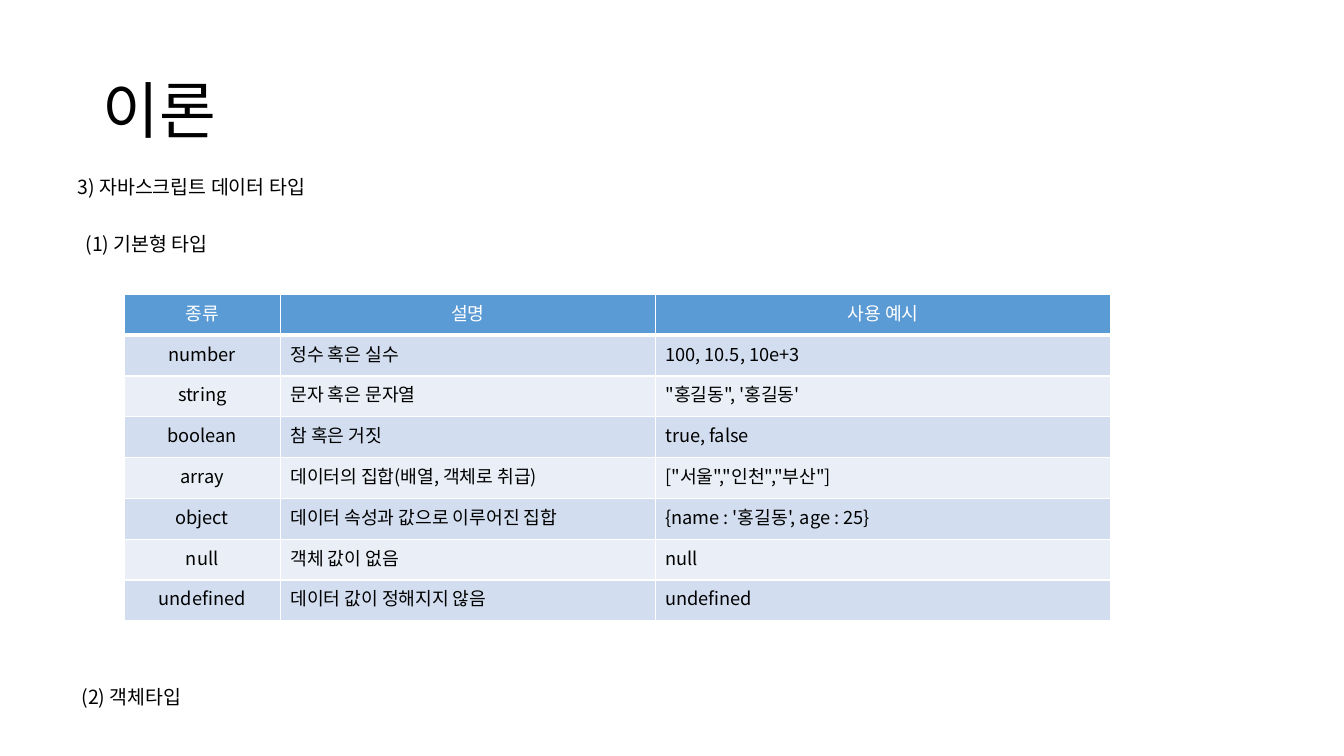
from pptx import Presentation
from pptx.util import Inches, Pt
from pptx.dml.color import RGBColor as Rgb
from pptx.enum.text import PP_ALIGN as Al, MSO_ANCHOR as Anc
from pptx.oxml import parse_xml
from pptx.oxml.ns import nsdecls
from lxml import etree

FONT = "Noto Sans CJK KR"
TITLE = "이론"
# text, indent in inches, space before in points
LINES = [
    ("3) 자바스크립트 데이터 타입", 0, 0),
    ("(1) 기본형 타입", 0.08, 29.4),
    ("(2) 객체타입", 0.04, 311.6),
]
ROWS = [
    ("종류", "설명", "사용 예시"),
    ("number", "정수 혹은 실수", "100, 10.5, 10e+3"),
    ("string", "문자 혹은 문자열", "\"홍길동\", '홍길동'"),
    ("boolean", "참 혹은 거짓", "true, false"),
    ("array", "데이터의 집합(배열, 객체로 취급)", '["서울","인천","부산"]'),
    ("object", "데이터 속성과 값으로 이루어진 집합", "{name : '홍길동', age : 25}"),
    ("null", "객체 값이 없음", "null"),
    ("undefined", "데이터 값이 정해지지 않음", "undefined"),
]
COLS = [1.55, 3.72, 4.52]
ROW_H = 0.405
HEAD, BANDS = "5B9BD5", ("EAEFF7", "D2DEEF")
BLACK, WHITE = "000000", "FFFFFF"


def paint(obj, color):
    obj.rgb = Rgb.from_string(color)


def write(para, text, size, color=BLACK, **form):
    run = para.add_run()
    run.text = text
    for key, val in {"name": FONT, "size": Pt(size), "bold": False}.items():
        setattr(run.font, key, val)
    paint(run.font.color, color)
    run.font._element.append(
        parse_xml(f'<a:ea {nsdecls("a")} typeface="{FONT}"/>'))
    for key, val in form.items():
        setattr(para, key, val)


def edge(cell, side, width):
    line = parse_xml(
        f'<a:ln{side} {nsdecls("a")} w="{Pt(width)}"><a:solidFill>'
        f'<a:srgbClr val="{WHITE}"/></a:solidFill></a:ln{side}>')
    cell._tc.get_or_add_tcPr().append(line)


def place(shape, *box):
    for key, val in zip(("left", "top", "width", "height"), box):
        setattr(shape, key, Inches(val))


deck = Presentation()
deck.slide_width, deck.slide_height = Inches(13.33), Inches(7.5)
slide = deck.slides.add_slide(deck.slide_layouts[5])

# Title
title = slide.shapes.title
place(title, 0.92, 0.4, 11.5, 1.45)
title.text_frame.vertical_anchor = Anc.MIDDLE
write(title.text_frame.paragraphs[0], TITLE, 44,
      alignment=Al.LEFT, line_spacing=0.9)

# Section headings
body = slide.shapes.add_textbox(*map(Inches, (0.67, 1.75, 12, 5.58)))
frame = body.text_frame
frame.word_wrap = True
for i, (text, dent, gap) in enumerate(LINES):
    para = frame.add_paragraph() if i else frame.paragraphs[0]
    write(para, text, 13.9, line_spacing=0.7, space_before=Pt(gap))
    para._p.get_or_add_pPr().set("marL", str(Inches(dent)))

# Table of types
size = (sum(COLS), ROW_H * len(ROWS))
table = slide.shapes.add_table(
    len(ROWS), len(COLS), *map(Inches, (1.23, 2.92, *size))).table
for col, width in zip(table.columns, COLS):
    col.width = Inches(width)
for r, row in enumerate(ROWS):
    table.rows[r].height = Inches(ROW_H)
    for c, text in enumerate(row):
        cell = table.cell(r, c)
        mid = r == 0 or c == 0
        write(cell.text_frame.paragraphs[0], text, 13,
              BLACK if r else WHITE, alignment=Al.CENTER if mid else Al.LEFT)
        for side in "LRTB":
            edge(cell, side, 3 if r == 0 and side == "B" else 1)
        cell.fill.solid()
        paint(cell.fill.fore_color, BANDS[r % 2] if r else HEAD)

deck.save("out.pptx")
